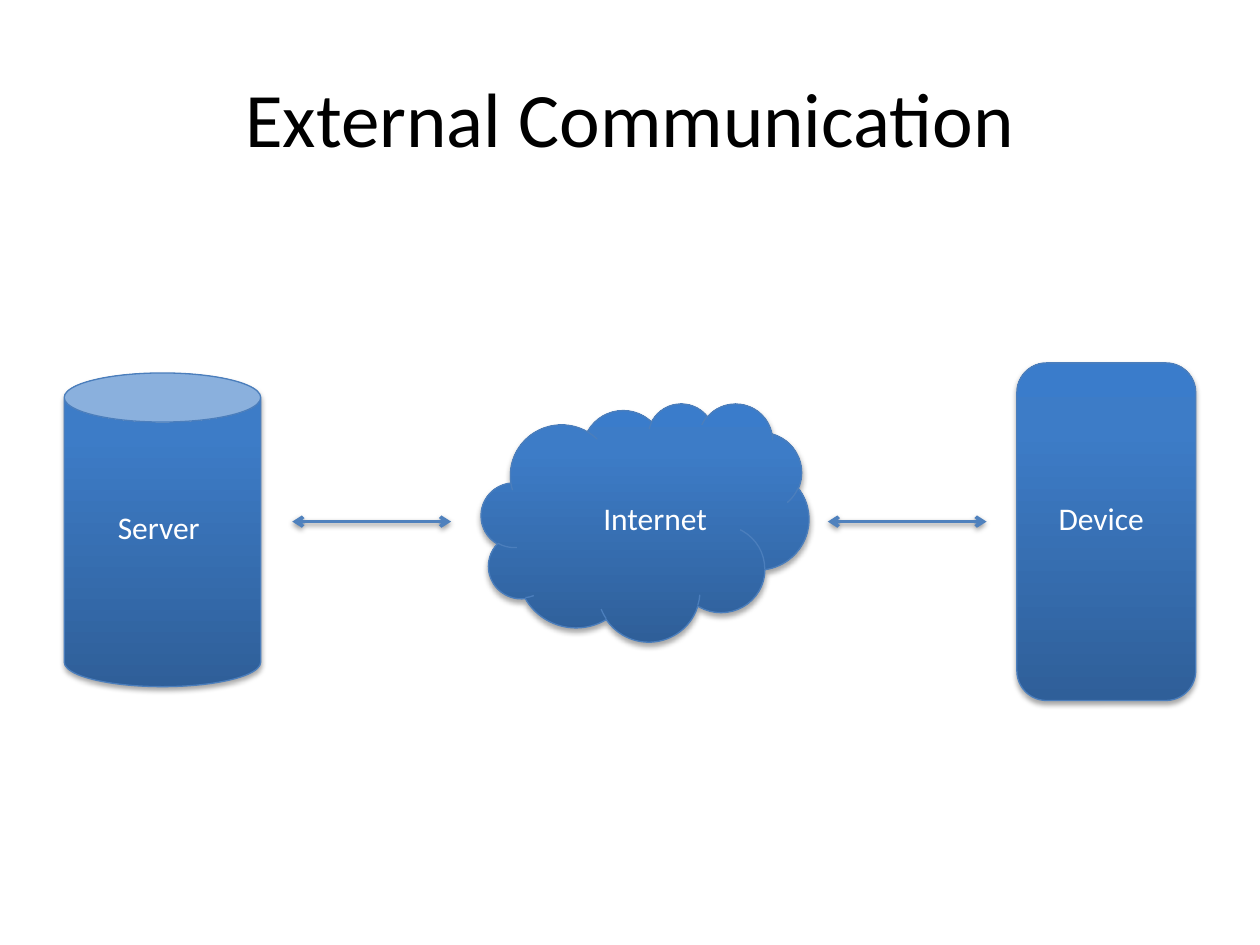
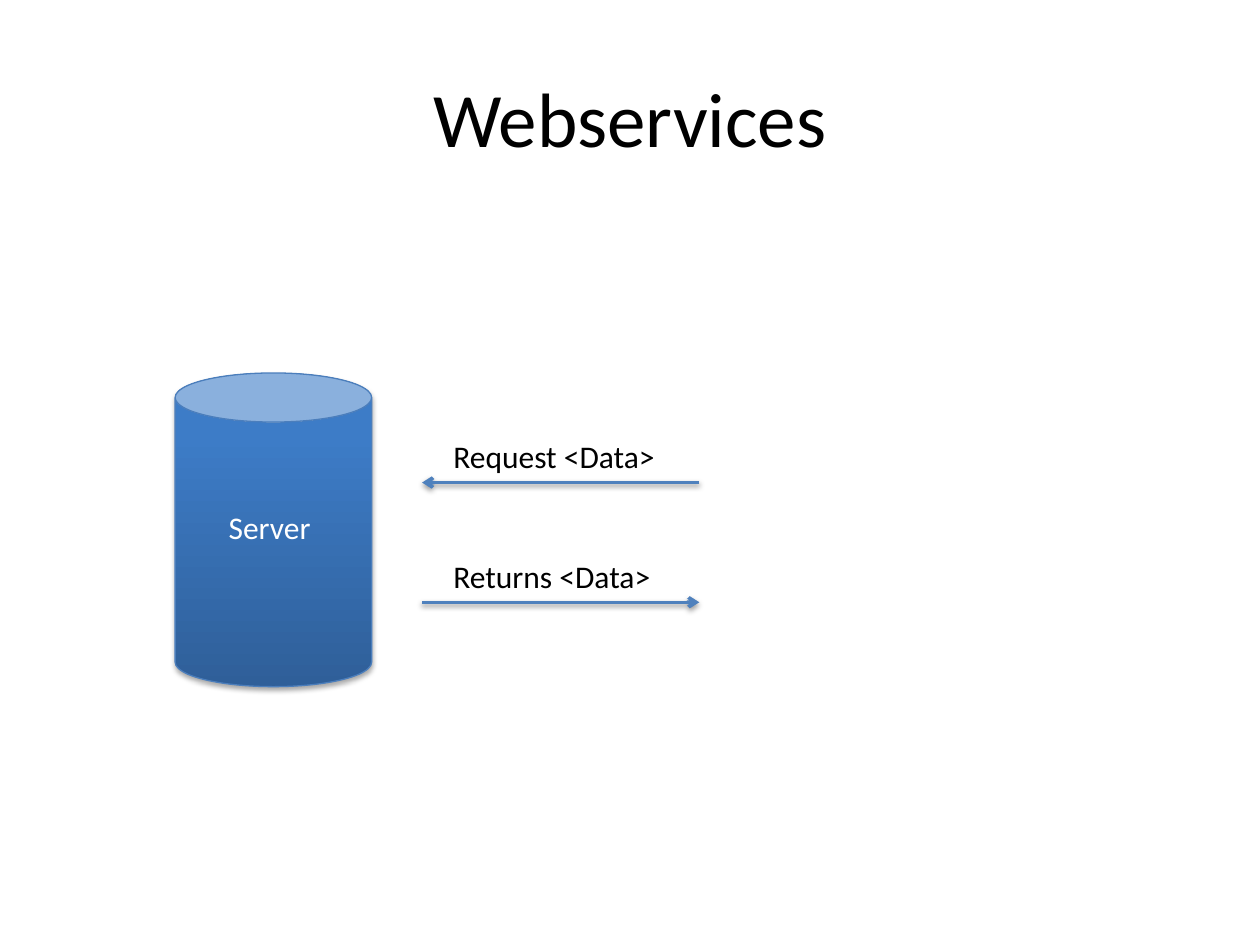
from copy import deepcopy
from dataclasses import dataclass

from lxml.etree import SubElement
from pptx import Presentation
from pptx.dml.color import RGBColor
from pptx.enum.shapes import MSO_CONNECTOR as Connector, MSO_SHAPE as Preset
from pptx.enum.text import MSO_ANCHOR as Anchor, MSO_AUTO_SIZE as AutoSize, PP_ALIGN as Align
from pptx.oxml.ns import qn
from pptx.slide import Slide
from pptx.util import Inches, Pt

FONT = "Calibri"
BLACK = RGBColor(0x00, 0x00, 0x00)
WHITE = RGBColor(0xFF, 0xFF, 0xFF)
OUTLINE = RGBColor(0x4B, 0x7E, 0xBC)
ARROW_BLUE = RGBColor(0x4F, 0x81, 0xBD)
NODE_GRADIENT = (
    (0.0, RGBColor(0x2F, 0x5F, 0x99)),
    (0.8, RGBColor(0x3D, 0x7C, 0xC7)),
    (1.0, RGBColor(0x3A, 0x7C, 0xCB)),
)
LABEL_HEIGHT = 0.4
LABEL_RISE = 0.41


@dataclass(frozen=True)
class Node:
    preset: Preset
    left: float
    top: float
    width: float
    height: float


@dataclass(frozen=True)
class Label:
    text: str
    left: float
    top: float
    width: float
    color: RGBColor = WHITE
    align: Align = Align.CENTER
    wrap: bool = True


@dataclass(frozen=True)
class Arrow:
    start: float
    end: float
    y: float
    two_way: bool = False


def add_shadow(properties, distance: float, opacity: int) -> None:
    effects = properties.find(qn("a:effectLst"))
    if effects is None:
        effects = SubElement(properties, qn("a:effectLst"))
    shadow = SubElement(effects, qn("a:outerShdw"), blurRad=str(Pt(3.1)), dist=str(Pt(distance)),
                        dir="5400000", rotWithShape="0")
    color = SubElement(shadow, qn("a:srgbClr"), val=str(BLACK))
    SubElement(color, qn("a:alpha"), val=str(opacity * 1000))


def add_titled_slide(deck: Presentation, heading: str) -> Slide:
    slide = deck.slides.add_slide(deck.slide_layouts[5])
    title = slide.shapes.title
    title.left, title.top = Inches(0.5), Inches(0.3)
    title.width, title.height = Inches(9), Inches(1.25)
    title.text_frame.text = heading
    title.text_frame.vertical_anchor = Anchor.MIDDLE
    paragraph = title.text_frame.paragraphs[0]
    paragraph.alignment = Align.CENTER
    font = paragraph.runs[0].font
    font.name, font.size, font.color.rgb = FONT, Pt(44), BLACK
    return slide


def draw_node(slide: Slide, node: Node) -> None:
    body = slide.shapes.add_shape(node.preset, Inches(node.left), Inches(node.top),
                                  Inches(node.width), Inches(node.height))
    body.fill.gradient()
    body.fill.gradient_angle = 90
    stop_list = body.fill._xPr.find(qn("a:gradFill")).find(qn("a:gsLst"))
    stop_list.append(deepcopy(stop_list[-1]))
    for stop, (position, color) in zip(body.fill.gradient_stops, NODE_GRADIENT):
        stop.position = position
        stop.color.rgb = color
    body.line.color.rgb = OUTLINE
    body.line.width = Pt(0.75)
    body.shadow.inherit = False
    add_shadow(body._element.spPr, 1.8, 35)


def draw_label(slide: Slide, label: Label) -> None:
    box = slide.shapes.add_textbox(Inches(label.left), Inches(label.top),
                                   Inches(label.width), Inches(LABEL_HEIGHT))
    frame = box.text_frame
    frame.text = label.text
    frame.word_wrap = label.wrap
    frame.auto_size = AutoSize.SHAPE_TO_FIT_TEXT
    paragraph = frame.paragraphs[0]
    paragraph.alignment = label.align
    font = paragraph.runs[0].font
    font.name, font.size, font.color.rgb = FONT, Pt(18), label.color


def draw_arrow(slide: Slide, arrow: Arrow) -> None:
    link = slide.shapes.add_connector(Connector.STRAIGHT, Inches(arrow.start), Inches(arrow.y),
                                      Inches(arrow.end), Inches(arrow.y))
    link.line.color.rgb = ARROW_BLUE
    link.line.width = Pt(2)
    stroke = link.line._get_or_add_ln()
    for tip in ("a:headEnd", "a:tailEnd") if arrow.two_way else ("a:tailEnd",):
        SubElement(stroke, qn(tip), type="arrow")
    add_shadow(link._element.spPr, 1.6, 38)


def draw_server(slide: Slide, left: float) -> None:
    draw_node(slide, Node(Preset.CAN, left, 2.96, 1.56, 2.49))
    draw_label(slide, Label("Server", left + 0.24, 3.98, 1.02))


def build_external_communication(deck: Presentation) -> None:
    slide = add_titled_slide(deck, "External Communication")
    draw_node(slide, Node(Preset.CLOUD, 3.82, 3.2, 2.6, 1.89))
    for start in (2.32, 6.57):
        draw_arrow(slide, Arrow(start, start + 1.26, 4.14, two_way=True))
    draw_node(slide, Node(Preset.ROUNDED_RECTANGLE, 8.07, 2.88, 1.42, 2.68))
    for text, left in (("Internet", 4.53), ("Device", 8.07)):
        draw_label(slide, Label(text, left, 3.91, 1.34))
    draw_server(slide, 0.51)


def build_webservices(deck: Presentation) -> None:
    slide = add_titled_slide(deck, "Webservices")
    draw_server(slide, 1.39)
    near, far = 3.35, 5.55
    messages = (
        ("Request <Data>", 1.82, Arrow(far, near, 3.83)),
        ("Returns <Data>", 1.78, Arrow(near, far, 4.78)),
    )
    for text, width, arrow in messages:
        draw_arrow(slide, arrow)
        draw_label(slide, Label(text, near + 0.15, arrow.y - LABEL_RISE, width,
                                BLACK, Align.LEFT, wrap=False))


def main() -> None:
    deck = Presentation()
    deck.slide_width, deck.slide_height = Inches(10), Inches(7.5)
    build_external_communication(deck)
    build_webservices(deck)
    deck.save("out.pptx")


if __name__ == "__main__":
    main()
